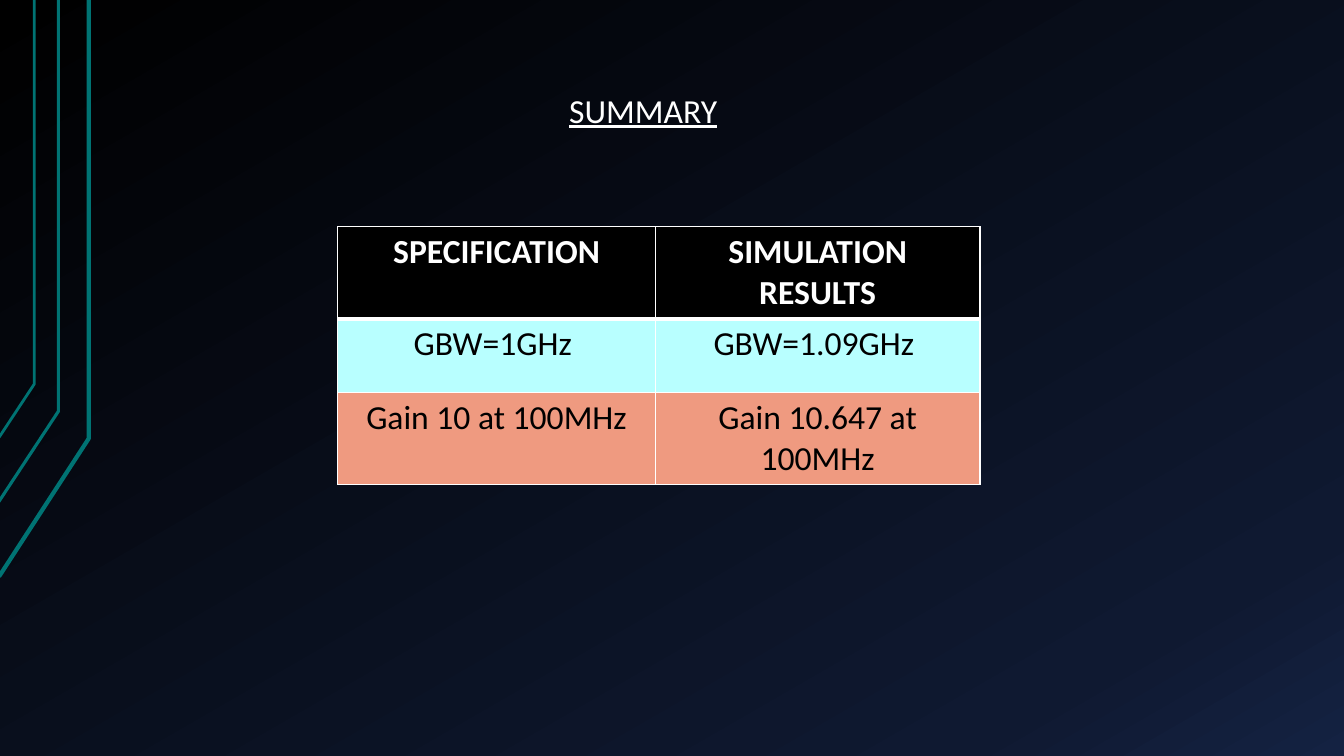
from copy import deepcopy

from lxml.etree import SubElement
from pptx import Presentation
from pptx.dml.color import RGBColor
from pptx.enum.text import PP_ALIGN as Align
from pptx.oxml.ns import qn
from pptx.util import Inches, Pt

BLACK = RGBColor(0x00, 0x00, 0x00)
WHITE = RGBColor(0xFF, 0xFF, 0xFF)
NAVY = RGBColor(0x0F, 0x19, 0x31)
BLUE = RGBColor(0x14, 0x22, 0x42)
TEAL = RGBColor(0x00, 0x73, 0x73)
AQUA = RGBColor(0xB8, 0xFF, 0xFF)
SALMON = RGBColor(0xEF, 0x9A, 0x80)

BACKGROUND_STOPS = [(0, BLACK), (0.85, NAVY), (1, BLUE)]
# Corner points from the left edge to the top edge, then line width in points
CIRCUIT_TRACES = [
    ([(-0.01, 5.72), (0.88, 4.35), (0.88, 0)], 3),
    ([(-0.02, 4.99), (0.58, 4.08), (0.58, 0)], 2.25),
    ([(-0.01, 4.34), (0.34, 3.81), (0.34, 0)], 2),
]
RESULT_ROWS = [
    ("SPECIFICATION", "SIMULATION\nRESULTS"),
    ("GBW=1GHz ", "GBW=1.09GHz "),
    ("Gain 10 at 100MHz", "Gain 10.647 at 100MHz"),
]
ROW_STYLES = [
    {"fill": BLACK, "font": {"bold": True}, "color": WHITE, "top": 1, "bottom": 3},
    {"fill": AQUA, "font": {"bold": False}, "color": BLACK, "top": 3, "bottom": 1},
    {"fill": SALMON, "font": {"bold": False}, "color": BLACK, "top": 1, "bottom": 1},
]
COLUMN_WIDTHS = [3.15, 3.22]
ROW_HEIGHTS = [0.73, 0.73, 0.41]


class SlideBuilder:
    base_font = {"name": "Calibri", "size": Pt(24)}

    def __init__(self, presentation):
        self.slide = presentation.slides.add_slide(presentation.slide_layouts[6])

    def background(self, stops, angle):
        fill = self.slide.background.fill
        fill.gradient()
        fill.gradient_angle = angle
        stop_list = self.slide.element.find(".//" + qn("a:gsLst"))
        while len(stop_list) < len(stops):
            stop_list.append(deepcopy(stop_list[0]))
        for stop, (position, color) in zip(fill.gradient_stops, stops):
            stop.position = position
            stop.color.rgb = color

    def trace(self, points, width):
        start, *rest = [(Inches(x), Inches(y)) for x, y in points]
        builder = self.slide.shapes.build_freeform(*start)
        builder.add_line_segments(rest, close=False)
        shape = builder.convert_to_shape()
        shape.shadow.inherit = False
        shape.fill.background()
        shape.line.color.rgb = TEAL
        shape.line.width = Pt(width)

    def set_text(self, text_frame, text, color, **font_values):
        text_frame.text = text
        for paragraph in text_frame.paragraphs:
            paragraph.alignment = Align.CENTER
            for run in paragraph.runs:
                for name, value in {**self.base_font, **font_values}.items():
                    setattr(run.font, name, value)
                run.font.color.rgb = color

    def heading(self, text, left, top, width, height):
        box = self.slide.shapes.add_textbox(*map(Inches, (left, top, width, height)))
        box.text_frame.word_wrap = True
        self.set_text(box.text_frame, text, WHITE, underline=True)

    def borders(self, cell, widths):
        properties = cell._tc.get_or_add_tcPr()
        for side, width in widths.items():
            line = SubElement(properties, qn(f"a:ln{side}"), w=str(Pt(width)))
            fill = SubElement(line, qn("a:solidFill"))
            SubElement(fill, qn("a:srgbClr"), val=str(WHITE))

    def table(self, rows, styles, left, top):
        size = sum(COLUMN_WIDTHS), sum(ROW_HEIGHTS)
        frame = self.slide.shapes.add_table(
            len(rows), len(COLUMN_WIDTHS), *map(Inches, (left, top, *size)))
        table = frame.table
        for column, width in zip(table.columns, COLUMN_WIDTHS):
            column.width = Inches(width)
        for row, height, texts, style in zip(table.rows, ROW_HEIGHTS, rows, styles):
            row.height = Inches(height)
            for cell, text in zip(row.cells, texts):
                self.set_text(cell.text_frame, text, style["color"], **style["font"])
                self.borders(cell, {"L": 1, "R": 1, "T": style["top"], "B": style["bottom"]})
                cell.fill.solid()
                cell.fill.fore_color.rgb = style["fill"]


def main():
    presentation = Presentation()
    presentation.slide_width = Inches(13.33)
    presentation.slide_height = Inches(7.5)
    builder = SlideBuilder(presentation)
    builder.background(BACKGROUND_STOPS, angle=300)
    for points, width in CIRCUIT_TRACES:
        builder.trace(points, width)
    builder.table(RESULT_ROWS, ROW_STYLES, 3.35, 2.25)
    builder.heading("SUMMARY", 2.96, 0.84, 6.84, 0.5)
    presentation.save("out.pptx")


if __name__ == "__main__":
    main()
